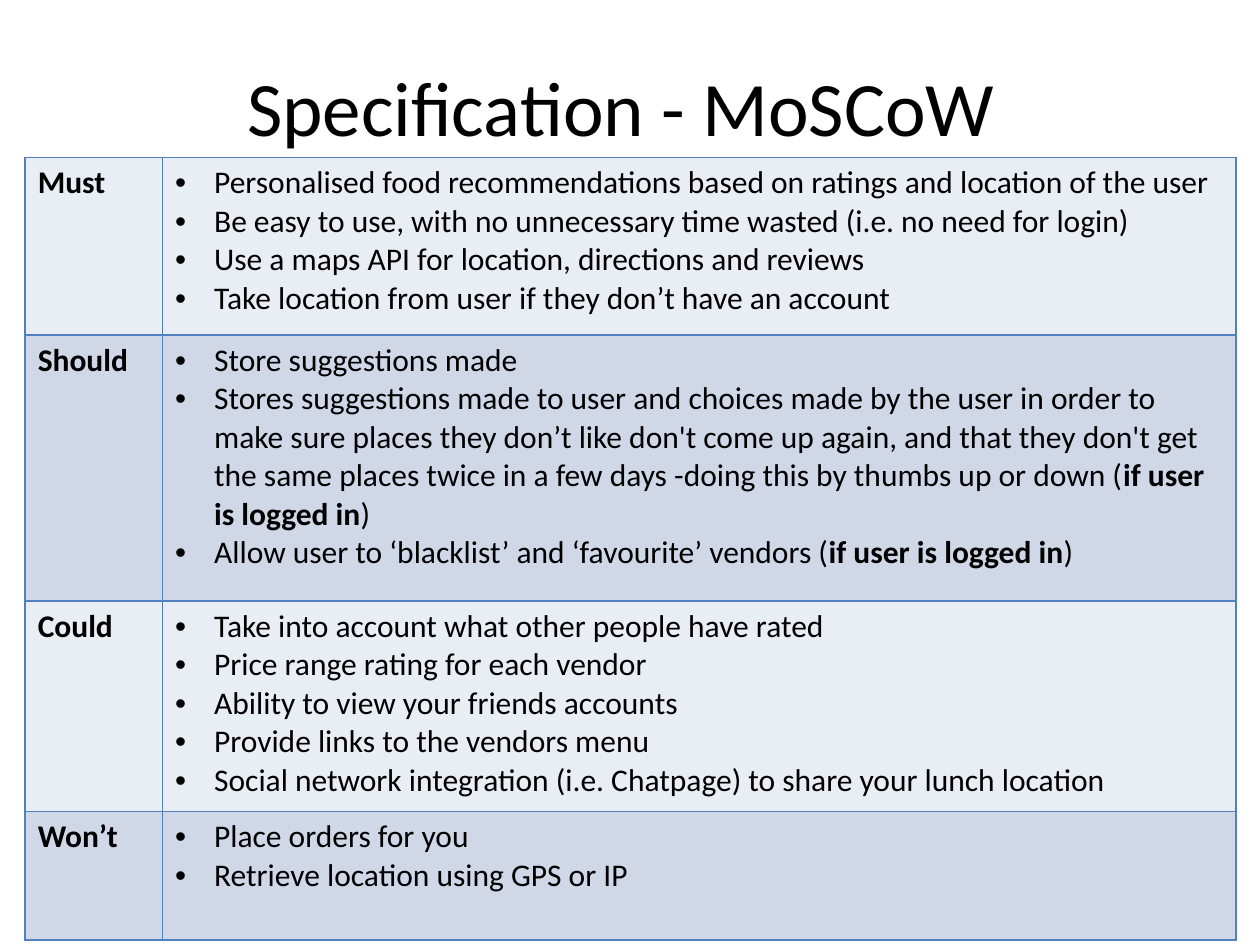
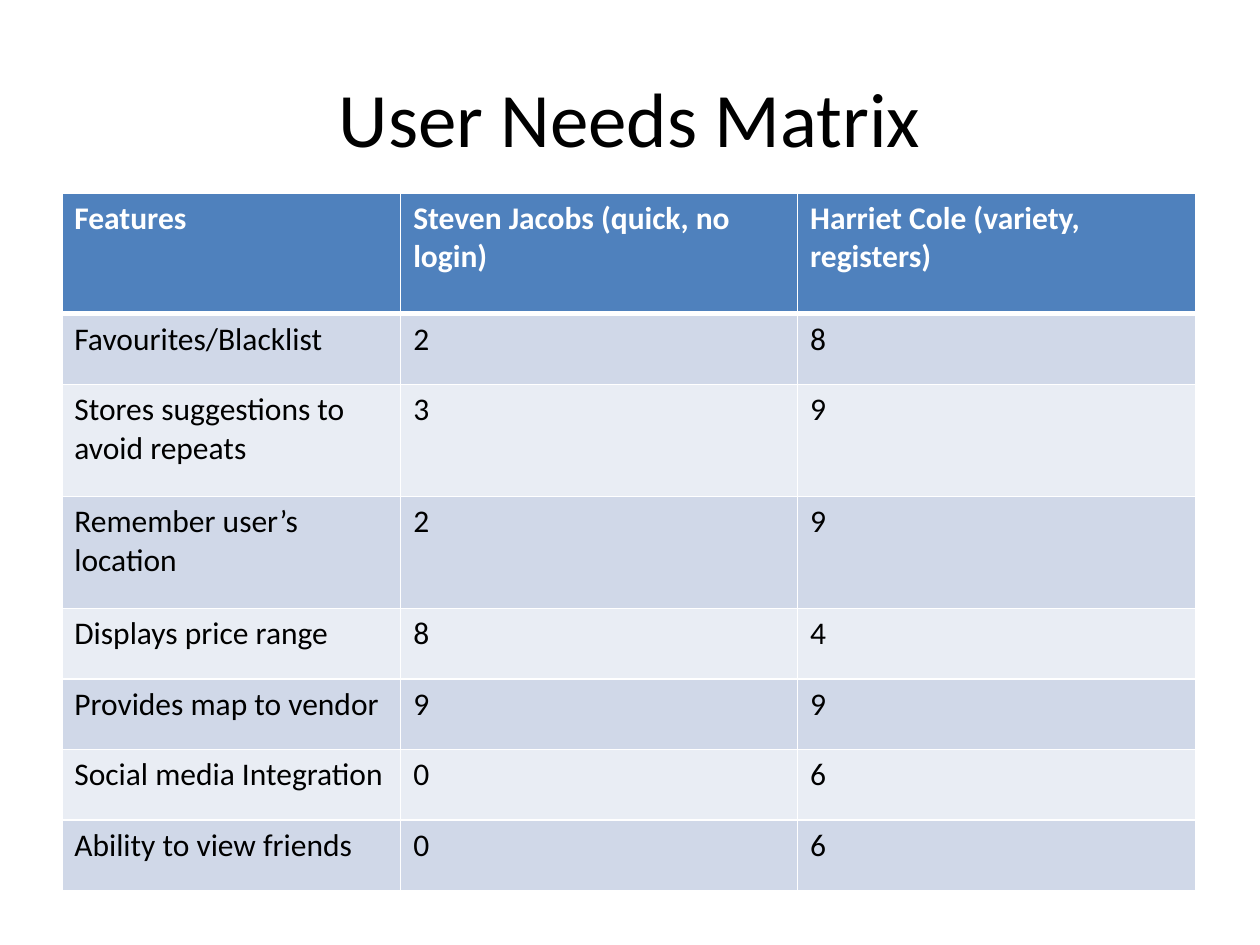
from lxml import etree
from pptx import Presentation
from pptx.dml.color import RGBColor
from pptx.enum.text import MSO_ANCHOR, PP_ALIGN
from pptx.oxml.ns import qn
from pptx.util import Inches, Pt

# Content: text between ** marks is bold
MOSCOW_TITLE = "Specification - MoSCoW"
MOSCOW = [
    ("Must", [
        "Personalised food recommendations based on ratings and location of the user",
        "Be easy to use, with no unnecessary time wasted (i.e. no need for login)",
        "Use a maps API for location, directions and reviews",
        "Take location from user if they don’t have an account",
    ]),
    ("Should", [
        "Store suggestions made",
        "Stores suggestions made to user and choices made by the user in order to "
        "make sure places they don’t like don't come up again, and that they don't "
        "get the same places twice in a few days -doing this by thumbs up or down "
        "(**if user is logged in**)",
        "Allow user to ‘blacklist’ and ‘favourite’ vendors (**if user is logged in**)",
    ]),
    ("Could", [
        "Take into account what other people have rated",
        "Price range rating for each vendor",
        "Ability to view your friends accounts",
        "Provide links to the vendors menu",
        "Social network integration (i.e. Chatpage) to share your lunch location",
    ]),
    ("Won’t", [
        "Place orders for you",
        "Retrieve location using GPS or IP",
    ]),
]
NEEDS_TITLE = "User Needs Matrix"
NEEDS_HEADER = ("Features", "Steven Jacobs (quick, no login)", "Harriet Cole (variety, registers)")
NEEDS = [
    ("Favourites/Blacklist", 2, 8),
    ("Stores suggestions to avoid repeats", 3, 9),
    ("Remember user’s location", 2, 9),
    ("Displays price range", 8, 4),
    ("Provides map to vendor", 9, 9),
    ("Social media Integration", 0, 6),
    ("Ability to view friends", 0, 6),
]

# Shared style
FONT = "Calibri"
TITLE_SIZE, BODY_SIZE = Pt(44), Pt(18)
BLACK = RGBColor(0x00, 0x00, 0x00)
WHITE = RGBColor(0xFF, 0xFF, 0xFF)
BLUE = RGBColor(0x4F, 0x81, 0xBD)
LIGHT_BAND = RGBColor(0xE9, 0xED, 0xF4)
DARK_BAND = RGBColor(0xD0, 0xD8, 0xE8)
BULLET_INDENT = Inches(0.31)

# Row heights and column widths, in inches
MOSCOW_COLUMNS, MOSCOW_ROWS = (1.09, 8.52), (1.41, 2.11, 1.67, 1.02)
NEEDS_COLUMNS = (2.69, 3.15, 3.16)
HEADER_HEIGHT, ONE_LINE, TWO_LINES = 0.96, 0.56, 0.89
WRAPPED_ROWS = (1, 2)


def add_runs(paragraph, text, color, bold=False):
    for index, part in enumerate(text.split("**")):
        run = paragraph.add_run()
        run.text = part
        font = run.font
        font.name, font.size, font.color.rgb = FONT, BODY_SIZE, color
        font.bold = bold or index % 2 == 1


def add_bullet(paragraph):
    properties = paragraph._p.get_or_add_pPr()
    properties.set("marL", str(BULLET_INDENT))
    properties.set("indent", str(-BULLET_INDENT))
    etree.SubElement(properties, qn("a:buFont")).set("typeface", "Arial")
    etree.SubElement(properties, qn("a:buChar")).set("char", "•")


def set_borders(cell, color, top=1, bottom=1):
    properties = cell._tc.get_or_add_tcPr()
    widths = {"lnL": 1, "lnR": 1, "lnT": top, "lnB": bottom}
    for index, (side, width) in enumerate(widths.items()):
        line = etree.Element(qn(f"a:{side}"), w=str(Pt(width)))
        fill = etree.SubElement(line, qn("a:solidFill"))
        etree.SubElement(fill, qn("a:srgbClr")).set("val", str(color))
        properties.insert(index, line)


def fill_cell(cell, text, background, color=BLACK, bold=False):
    """Write a string plainly, or a list of strings as bullets."""
    cell.fill.solid()
    cell.fill.fore_color.rgb = background
    text_frame = cell.text_frame
    lines = text if isinstance(text, list) else [text]
    for index, line in enumerate(lines):
        paragraph = text_frame.add_paragraph() if index else text_frame.paragraphs[0]
        if isinstance(text, list):
            add_bullet(paragraph)
        add_runs(paragraph, line, color, bold)


def add_title(slide, text, left, top):
    box = slide.shapes.add_textbox(Inches(left), Inches(top), Inches(9), Inches(1.25))
    text_frame = box.text_frame
    text_frame.word_wrap = True
    text_frame.vertical_anchor = MSO_ANCHOR.MIDDLE
    text_frame.text = text
    paragraph = text_frame.paragraphs[0]
    paragraph.alignment = PP_ALIGN.CENTER
    font = paragraph.runs[0].font
    font.name, font.size, font.color.rgb = FONT, TITLE_SIZE, BLACK


def add_grid(slide, left, top, widths, heights):
    frame = slide.shapes.add_table(
        len(heights), len(widths), Inches(left), Inches(top),
        Inches(sum(widths)), Inches(sum(heights)))
    table = frame.table
    table.first_row = table.horz_banding = False
    for column, width in zip(table.columns, widths):
        column.width = Inches(width)
    for row, height in zip(table.rows, heights):
        row.height = Inches(height)
    return table


def build_moscow(slide):
    add_title(slide, MOSCOW_TITLE, 0.43, 0.21)
    table = add_grid(slide, 0.2, 1.25, MOSCOW_COLUMNS, MOSCOW_ROWS)
    for index, (priority, features) in enumerate(MOSCOW):
        band = DARK_BAND if index % 2 else LIGHT_BAND
        fill_cell(table.cell(index, 0), priority, band, bold=True)
        fill_cell(table.cell(index, 1), features, band)
    for cell in table.iter_cells():
        set_borders(cell, BLUE)


def build_needs(slide):
    add_title(slide, NEEDS_TITLE, 0.5, 0.3)
    heights = [HEADER_HEIGHT] + [
        TWO_LINES if index in WRAPPED_ROWS else ONE_LINE for index in range(len(NEEDS))]
    table = add_grid(slide, 0.49, 1.53, NEEDS_COLUMNS, heights)
    for column, heading in enumerate(NEEDS_HEADER):
        cell = table.cell(0, column)
        fill_cell(cell, heading, BLUE, WHITE, bold=True)
        set_borders(cell, WHITE, bottom=3)
    for row, values in enumerate(NEEDS, start=1):
        band = DARK_BAND if row % 2 else LIGHT_BAND
        for column, value in enumerate(values):
            cell = table.cell(row, column)
            fill_cell(cell, str(value), band)
            set_borders(cell, WHITE, top=3 if row == 1 else 1)


def main():
    presentation = Presentation()
    presentation.slide_width, presentation.slide_height = Inches(10), Inches(7.5)
    blank = presentation.slide_layouts[6]
    for build in (build_moscow, build_needs):
        build(presentation.slides.add_slide(blank))
    presentation.save("out.pptx")


if __name__ == "__main__":
    main()
